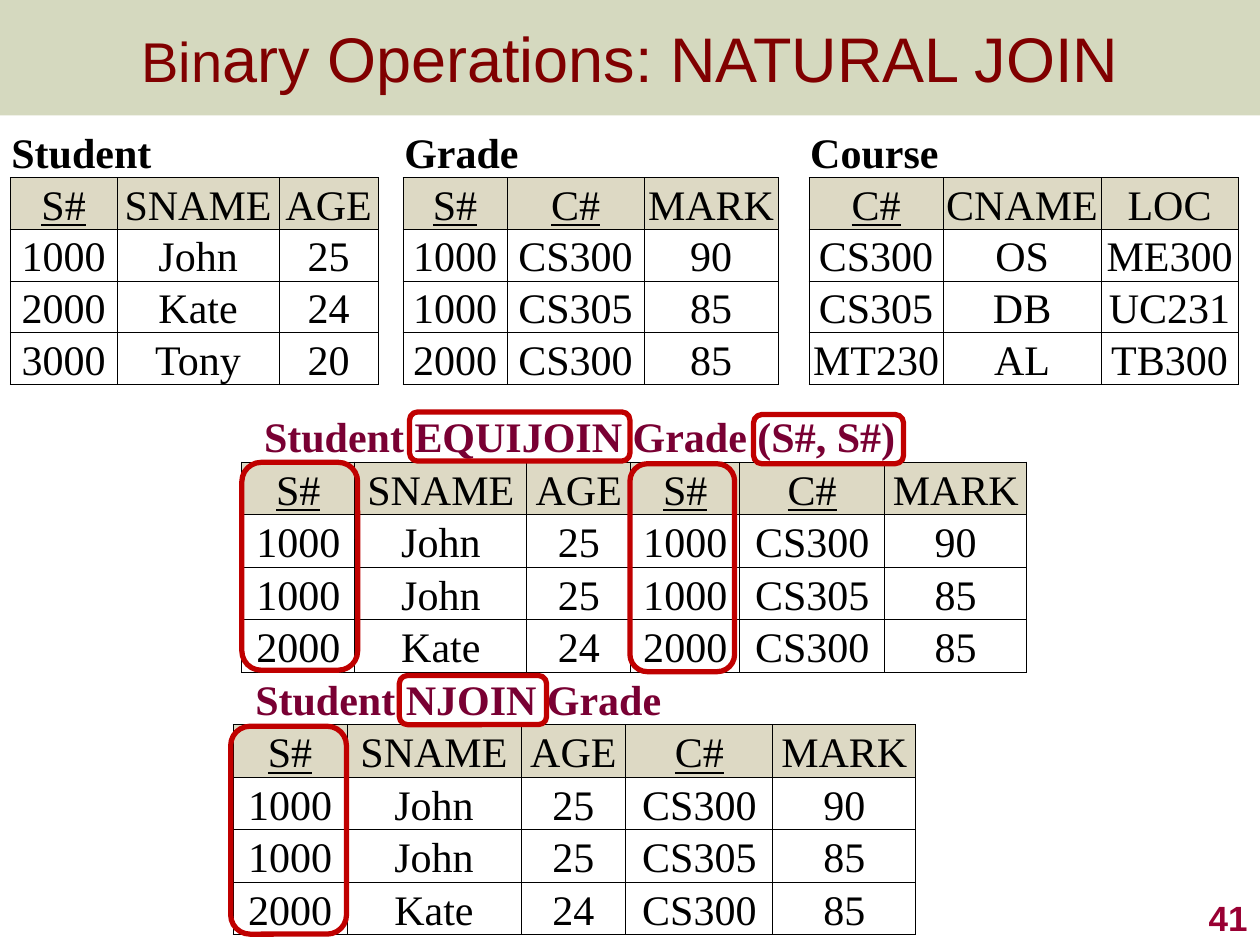
from dataclasses import dataclass
from pptx import Presentation
from pptx.dml.color import RGBColor
from pptx.enum.shapes import MSO_SHAPE
from pptx.enum.text import MSO_ANCHOR, MSO_AUTO_SIZE, PP_ALIGN
from pptx.oxml import parse_xml
from pptx.oxml.ns import nsdecls
from pptx.util import Pt


@dataclass(frozen=True)
class Theme:
    sans: str = "Arial"
    serif: str = "Times New Roman"
    band: str = "76822E"
    title: str = "800000"
    page: str = "990033"
    ink: str = "000000"
    plum: str = "790033"
    head: str = "DDD9C4"
    paper: str = "FFFFFF"
    mark: str = "C00000"
    big: int = 36
    lead: int = 32
    cell: int = 24
    small: int = 20


THEME = Theme()
PLAIN = "{2D5ABB26-0587-4C30-8999-92F81FD0307C}"
GAP = None

STUDENT = ("Student", ["S#", "SNAME", "AGE"], [
    ["1000", "John", "25"], ["2000", "Kate", "24"], ["3000", "Tony", "20"]])
GRADE = ("Grade", ["S#", "C#", "MARK"], [
    ["1000", "CS300", "90"], ["1000", "CS305", "85"], ["2000", "CS300", "85"]])
COURSE = ("Course", ["C#", "CNAME", "LOC"], [
    ["CS300", "OS", "ME300"], ["CS305", "DB", "UC231"], ["MT230", "AL", "TB300"]])
PEOPLE = [["1000", "John", "25"], ["1000", "John", "25"], ["2000", "Kate", "24"]]
EQUI = ("Student EQUIJOIN Grade (S#, S#)", STUDENT[1] + GRADE[1],
        [who + mark for who, mark in zip(PEOPLE, GRADE[2])])
NATURAL = ("Student NJOIN Grade", STUDENT[1] + GRADE[1][1:],
           [who + mark[1:] for who, mark in zip(PEOPLE, GRADE[2])])


def add_run(para, text, size, font, color, bold=False, under=False):
    run = para.add_run()
    run.text = text
    run.font.size = Pt(size)
    run.font.name = font
    run.font.bold = bold
    run.font.underline = under
    run.font.color.rgb = RGBColor.from_string(color)


def place(shape, box):
    shape.left, shape.top, shape.width, shape.height = [Pt(n) for n in box]


def paint(part, color):
    part.fill.solid()
    part.fill.fore_color.rgb = RGBColor.from_string(color)


def add_title(slide, box):
    band = slide.shapes.add_shape(MSO_SHAPE.RECTANGLE, *[Pt(n) for n in box])
    band.shadow.inherit = False
    band.line.fill.background()
    paint(band, THEME.band)
    tint = band.fill._xPr.solidFill[0]
    tint.append(parse_xml(f'<a:alpha {nsdecls("a")} val="30000"/>'))
    slide.shapes._spTree.insert(2, band._element)
    title = slide.shapes.title
    place(title, box)
    frame = title.text_frame
    frame.auto_size = MSO_AUTO_SIZE.NONE
    frame.vertical_anchor = MSO_ANCHOR.MIDDLE
    para = frame.paragraphs[0]
    para.alignment = PP_ALIGN.CENTER
    add_run(para, "Bin", THEME.lead, THEME.sans, THEME.title)
    add_run(para, "ary Operations: NATURAL JOIN", THEME.big, THEME.sans, THEME.title)


def add_page(slide, box, text):
    frame = slide.shapes.add_textbox(*[Pt(n) for n in box]).text_frame
    frame.word_wrap = True
    frame.vertical_anchor = MSO_ANCHOR.BOTTOM
    para = frame.paragraphs[0]
    para.alignment = PP_ALIGN.RIGHT
    add_run(para, text, THEME.small, THEME.sans, THEME.page, bold=True)


def rule(cell, sides):
    props = cell._tc.get_or_add_tcPr()
    for side in sides:
        props.append(parse_xml(
            f'<a:ln{side} {nsdecls("a")} w="{Pt(0.5)}"><a:solidFill>'
            f'<a:srgbClr val="{THEME.ink}"/></a:solidFill></a:ln{side}>'))


def fill_cell(cell, text, back, sides):
    cell.margin_left = cell.margin_right = cell.margin_top = Pt(0.7)
    cell.margin_bottom = 0
    cell.vertical_anchor = MSO_ANCHOR.BOTTOM
    rule(cell, sides)
    if back:
        paint(cell, back)
    if text:
        para = cell.text_frame.paragraphs[0]
        para.alignment = PP_ALIGN.CENTER
        add_run(para, text, THEME.cell, THEME.serif, THEME.ink, under=text.endswith("#"))


def add_group(grid, start, group, color, inset, back):
    name, heads, rows = group
    last = start + len(heads) - 1
    for col in range(start, last + 1):
        fill_cell(grid.cell(0, col), "", back, "B")
    top = grid.cell(0, start)
    top.merge(grid.cell(0, last))
    top.margin_left = Pt(inset)
    add_run(top.text_frame.paragraphs[0], name, THEME.cell, THEME.serif, color, bold=True)
    for row, texts in enumerate([heads] + rows, 1):
        for col, text in enumerate(texts, start):
            fill_cell(grid.cell(row, col), text, THEME.head if row == 1 else THEME.paper, "LRTB")


def add_grid(slide, box, widths, groups, color, inset=0.7, back=None):
    left, top, tall = box
    count = len(groups[0][2]) + 2
    frame = slide.shapes.add_table(count, len(widths), Pt(left), Pt(top),
                                   Pt(sum(widths)), Pt(tall * count))
    grid = frame.table
    grid._tbl.tblPr.find("{*}tableStyleId").text = PLAIN
    grid.first_row = grid.horz_banding = False
    for col, width in zip(grid.columns, widths):
        col.width = Pt(width)
    for row in grid.rows:
        row.height = Pt(tall)
    start = 0
    for group in groups:
        if group is GAP:
            for row in range(count):
                fill_cell(grid.cell(row, start), "", THEME.paper, "LR" if row else "")
            start += 1
        else:
            add_group(grid, start, group, color, inset, back)
            start += len(group[1])


def add_join(slide, box, widths, group, marks):
    add_grid(slide, box, widths, [group], THEME.plum, inset=12.7)
    left, top, _ = box
    for x, y, wide, high in marks:
        mark = slide.shapes.add_shape(MSO_SHAPE.ROUNDED_RECTANGLE, Pt(left + x),
                                      Pt(top + y), Pt(wide), Pt(high))
        mark.shadow.inherit = False
        mark.fill.background()
        mark.line.width = Pt(3)
        mark.line.color.rgb = RGBColor.from_string(THEME.mark)


def main():
    deck = Presentation()
    deck.slide_width, deck.slide_height = Pt(720), Pt(540)
    slide = deck.slides.add_slide(deck.slide_layouts[5])
    add_title(slide, (0, 0, 720, 66))
    add_page(slide, (570, 504, 150, 36), "41")
    add_join(slide, (138.2, 234, 30), [64.6, 98.3, 59.4, 62.3, 82.9, 81.1], EQUI,
             [(0, 30.2, 66.2, 118.8), (221.8, 31, 59.8, 118.8),
              (95.8, 1.4, 126, 28.1), (292.4, 2.9, 85.7, 28.1)])
    add_join(slide, (133.2, 384, 30), [65.1, 99.4, 60, 84, 81.7], NATURAL,
             [(-1.4, 31, 66.2, 118.8), (95, 2, 84.2, 28.1)])
    add_grid(slide, (5.8, 72, 27.4),
             [61.1, 92.6, 56.6, 14.3, 59.4, 78.3, 76.6, 17.7, 76.6, 90.3, 78.3],
             [STUDENT, GAP, GRADE, GAP, COURSE], THEME.ink, back=THEME.paper)
    deck.save("out.pptx")


if __name__ == "__main__":
    main()
